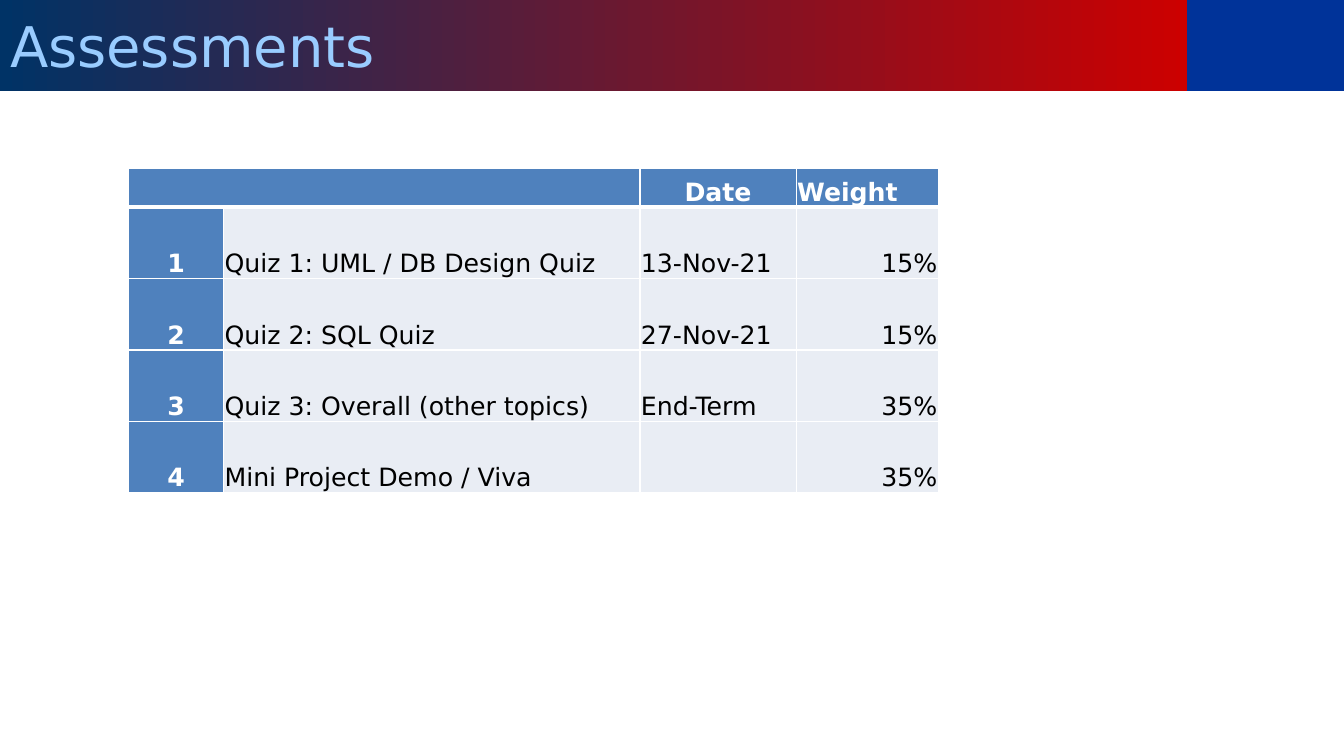
from lxml import etree
from pptx import Presentation
from pptx.dml.color import RGBColor
from pptx.enum import shapes, text
from pptx.oxml import ns
from pptx.util import Pt

WHITE = RGBColor(0xFF, 0xFF, 0xFF)
BLACK = RGBColor(0, 0, 0)
NAVY = RGBColor(0x00, 0x33, 0x66)
RED = RGBColor(0xCC, 0x00, 0x00)
ROYAL = RGBColor(0x00, 0x33, 0x99)
SKY = RGBColor(0x99, 0xCC, 0xFF)
HEADER = RGBColor(0x4F, 0x81, 0xBD)
BODY = RGBColor(0xE9, 0xED, 0xF4)

LEFT, CENTER, RIGHT = (text.PP_ALIGN.LEFT, text.PP_ALIGN.CENTER,
                       text.PP_ALIGN.RIGHT)
WIDTH, BANNER_W, BANNER_H = 960, 848, 65

ROWS = [
    ("", "", "Date", "Weight"),
    ("1", "Quiz 1: UML / DB Design Quiz", "13-Nov-21", "15%"),
    ("2", "Quiz 2: SQL Quiz", "27-Nov-21", "15%"),
    ("3", "Quiz 3: Overall (other topics)", "End-Term", "35%"),
    ("4", "Mini Project Demo / Viva", "", "35%"),
]
COL_WIDTHS = [67.7, 297.4, 111.6, 101.5]
ROW_HEIGHTS = [28] + [51] * 4
HEADER_ALIGNS = [LEFT, LEFT, CENTER, LEFT]
BODY_ALIGNS = [CENTER, LEFT, LEFT, RIGHT]


def write(tf, words, size=18, color=BLACK, bold=False, align=LEFT,
          font="DejaVu Sans"):
    """Put one formatted run of words in a text frame."""
    p = tf.paragraphs[0]
    p.alignment = align
    r = p.add_run()
    r.text = words
    r.font.name, r.font.size, r.font.bold = font, Pt(size), bold
    r.font.color.rgb = color


def set_borders(cell, color=WHITE, width=1, bottom=1):
    """Draw solid lines on the four sides of a table cell."""
    tc_pr = cell._tc.get_or_add_tcPr()
    for side in "LRTB":
        ln = etree.SubElement(tc_pr, ns.qn(f"a:ln{side}"))
        ln.set("w", str(Pt(bottom if side == "B" else width)))
        fill = etree.SubElement(ln, ns.qn("a:solidFill"))
        etree.SubElement(fill, ns.qn("a:srgbClr")).set("val", str(color))


class Deck:
    """Holds the presentation and the current slide."""

    def __init__(self):
        """Open a wide presentation with one title-only slide."""
        self.prs = Presentation()
        self.prs.slide_width, self.prs.slide_height = Pt(WIDTH), Pt(540)
        self.s = self.prs.slides.add_slide(self.prs.slide_layouts[5])

    def title(self, words, x, y, w, h):
        """Make the title placeholder a gradient banner."""
        sp = self.s.shapes.title
        sp.left, sp.top, sp.width, sp.height = map(Pt, (x, y, w, h))
        sp.fill.gradient()
        sp.fill.gradient_angle = 0
        for stop, color in zip(sp.fill.gradient_stops, (NAVY, RED)):
            stop.color.rgb = color
        tf = sp.text_frame
        tf.auto_size = text.MSO_AUTO_SIZE.NONE
        tf.vertical_anchor = text.MSO_ANCHOR.MIDDLE
        write(tf, words, size=40, color=SKY)

    def block(self, x, y, w, h, color):
        """Add a plain filled rectangle."""
        sp = self.s.shapes.add_shape(shapes.MSO_SHAPE.RECTANGLE,
                                     *map(Pt, (x, y, w, h)))
        sp.shadow.inherit = False
        sp.fill.solid()
        sp.fill.fore_color.rgb = color
        sp.line.fill.background()

    def table(self, rows, x, y, widths, heights):
        """Add a table with a header row and a header column."""
        box = map(Pt, (x, y, sum(widths), sum(heights)))
        tbl = self.s.shapes.add_table(len(rows), len(widths), *box).table
        for col, w in zip(tbl.columns, widths):
            col.width = Pt(w)
        for row, h in zip(tbl.rows, heights):
            row.height = Pt(h)
        for i, row in enumerate(rows):
            for j, words in enumerate(row):
                self.cell(tbl.cell(i, j), words, i == 0, j == 0,
                          (BODY_ALIGNS if i else HEADER_ALIGNS)[j])
        tbl.cell(0, 0).merge(tbl.cell(0, 1))

    def cell(self, cell, words, in_head_row, in_head_col, align):
        """Format and fill one table cell."""
        is_head = in_head_row or in_head_col
        set_borders(cell, bottom=3 if in_head_row else 1)
        cell.fill.solid()
        cell.fill.fore_color.rgb = HEADER if is_head else BODY
        cell.margin_left = cell.margin_right = cell.margin_top = Pt(0.72)
        cell.margin_bottom = 0
        cell.vertical_anchor = text.MSO_ANCHOR.BOTTOM
        if words:
            write(cell.text_frame, words, bold=is_head, align=align,
                  color=WHITE if is_head else BLACK)


deck = Deck()
deck.block(BANNER_W, 0, WIDTH - BANNER_W, BANNER_H, ROYAL)
deck.title("Assessments", 0, 0, BANNER_W, BANNER_H)
deck.table(ROWS, 92, 120, COL_WIDTHS, ROW_HEIGHTS)
deck.prs.save("out.pptx")
